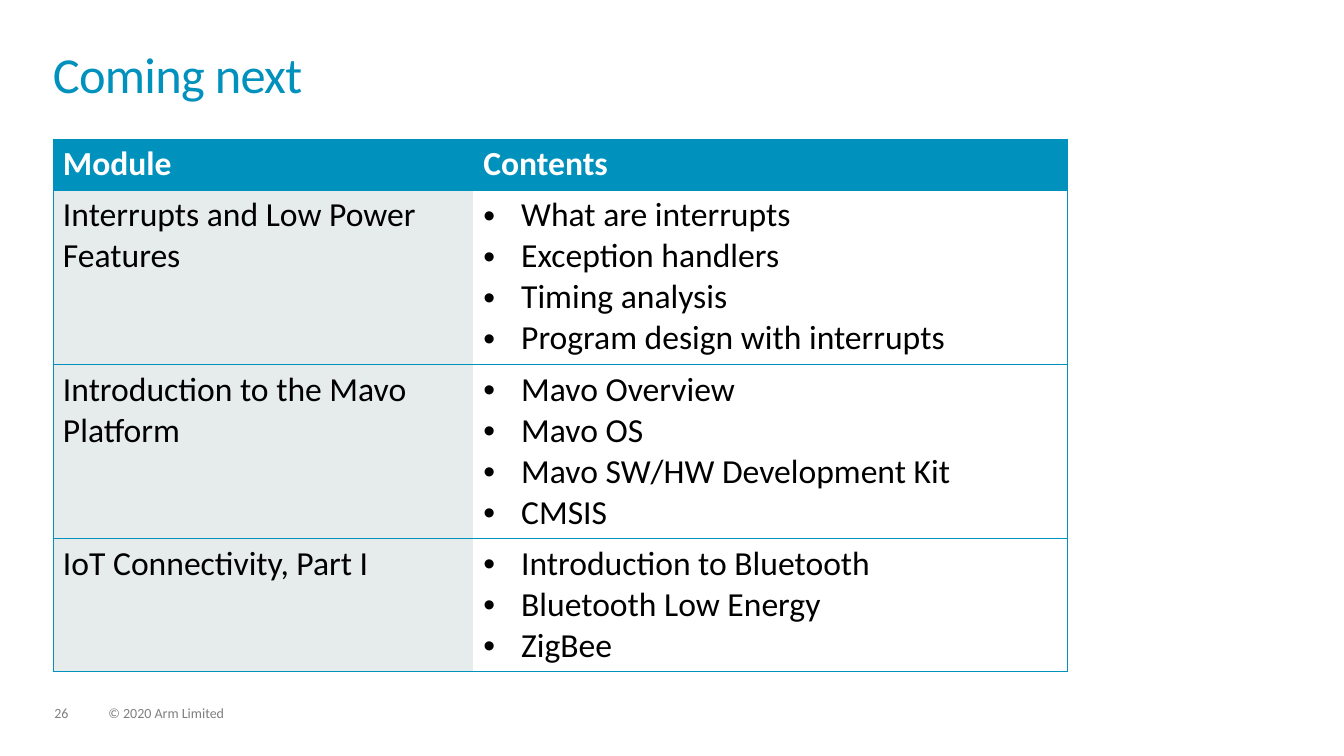
from lxml.etree import SubElement
from pptx import Presentation
from pptx.dml.color import RGBColor
from pptx.enum.text import MSO_ANCHOR, MSO_AUTO_SIZE, PP_ALIGN
from pptx.oxml.ns import qn
from pptx.util import Pt


class Theme:
    font = "Calibri"
    blue = "0091BD"
    pale = "E5ECEB"
    white = "FFFFFF"
    black = "000000"
    grey = "7F7F7F"
    title = 36
    body = 24
    small = 10


def write(frame, lines, size, color, bold=False, bullet=False, track=0,
          space=None, after=0):
    """Fill a text frame with one paragraph for each line."""
    frame.word_wrap = True
    for i, line in enumerate(lines):
        para = frame.paragraphs[0] if i == 0 else frame.add_paragraph()
        para.alignment = PP_ALIGN.LEFT
        para.line_spacing = space
        para.space_after = Pt(after)
        if bullet:
            props = para._p.get_or_add_pPr()
            props.set("marL", str(Pt(27)))
            props.set("indent", str(-Pt(27)))
            SubElement(props, qn("a:buFont"), typeface="Arial")
            SubElement(props, qn("a:buChar"), char="•")
        run = para.add_run()
        run.text = line
        font = run.font
        font.name, font.size, font.bold = Theme.font, Pt(size), bold
        font.color.rgb = RGBColor.from_string(color)
        if track:
            run._r.get_or_add_rPr().set("spc", str(track))


def edge(cell, side, shown):
    """Draw a thin blue border on one side of a cell, or clear it."""
    line = SubElement(cell._tc.get_or_add_tcPr(), qn("a:ln" + side), w=str(Pt(0.5)))
    if shown:
        fill = SubElement(line, qn("a:solidFill"))
        SubElement(fill, qn("a:srgbClr"), val=Theme.blue)
    else:
        SubElement(line, qn("a:noFill"))


deck = Presentation()
deck.slide_width, deck.slide_height = Pt(960), Pt(540)
slide = deck.slides.add_slide(deck.slide_layouts[5])

title = slide.shapes.title
title.left, title.top, title.width, title.height = Pt(37.8), Pt(37.4), Pt(884), Pt(52)
frame = title.text_frame
frame.margin_left = frame.margin_top = frame.margin_right = frame.margin_bottom = 0
frame.vertical_anchor = MSO_ANCHOR.TOP
frame.auto_size = MSO_AUTO_SIZE.NONE
write(frame, ["Coming next"], Theme.title, Theme.blue, track=-50, space=0.85)

modules = [
    ("Module", ["Contents"]),
    ("Interrupts and Low Power Features",
     ["What are interrupts", "Exception handlers", "Timing analysis",
      "Program design with interrupts"]),
    ("Introduction to the Mavo Platform",
     ["Mavo Overview", "Mavo OS", "Mavo SW/HW Development Kit", "CMSIS"]),
    ("IoT Connectivity, Part I",
     ["Introduction to Bluetooth", "Bluetooth Low Energy", "ZigBee"]),
]
heights = [29.3 * len(items) + 7.2 for _, items in modules]
table = slide.shapes.add_table(
    len(modules), 2, Pt(37.8), Pt(99.2), Pt(724.4), Pt(sum(heights))).table
table.horz_banding = False
table.columns[0].width, table.columns[1].width = Pt(300.3), Pt(424.1)

for r, (module, items) in enumerate(modules):
    table.rows[r].height = Pt(heights[r])
    head = r == 0
    for c, lines in enumerate([[module], items]):
        cell = table.cell(r, c)
        for side, shown in [("L", c == 0), ("R", c == 1), ("T", True), ("B", True)]:
            edge(cell, side, shown)
        fill = Theme.blue if head else (Theme.pale, Theme.white)[c]
        cell.fill.solid()
        cell.fill.fore_color.rgb = RGBColor.from_string(fill)
        write(cell.text_frame, lines, Theme.body,
              Theme.white if head else Theme.black,
              bold=head, bullet=c == 1 and not head)

for left, width, text in [(38.9, 24.5, "26"), (77.4, 123, "© 2020 Arm Limited")]:
    frame = slide.shapes.add_textbox(Pt(left), Pt(504.7), Pt(width), Pt(11)).text_frame
    frame.margin_left = frame.margin_top = frame.margin_right = frame.margin_bottom = 0
    write(frame, [text], Theme.small, Theme.grey, space=0.9, after=6)

deck.save("out.pptx")
